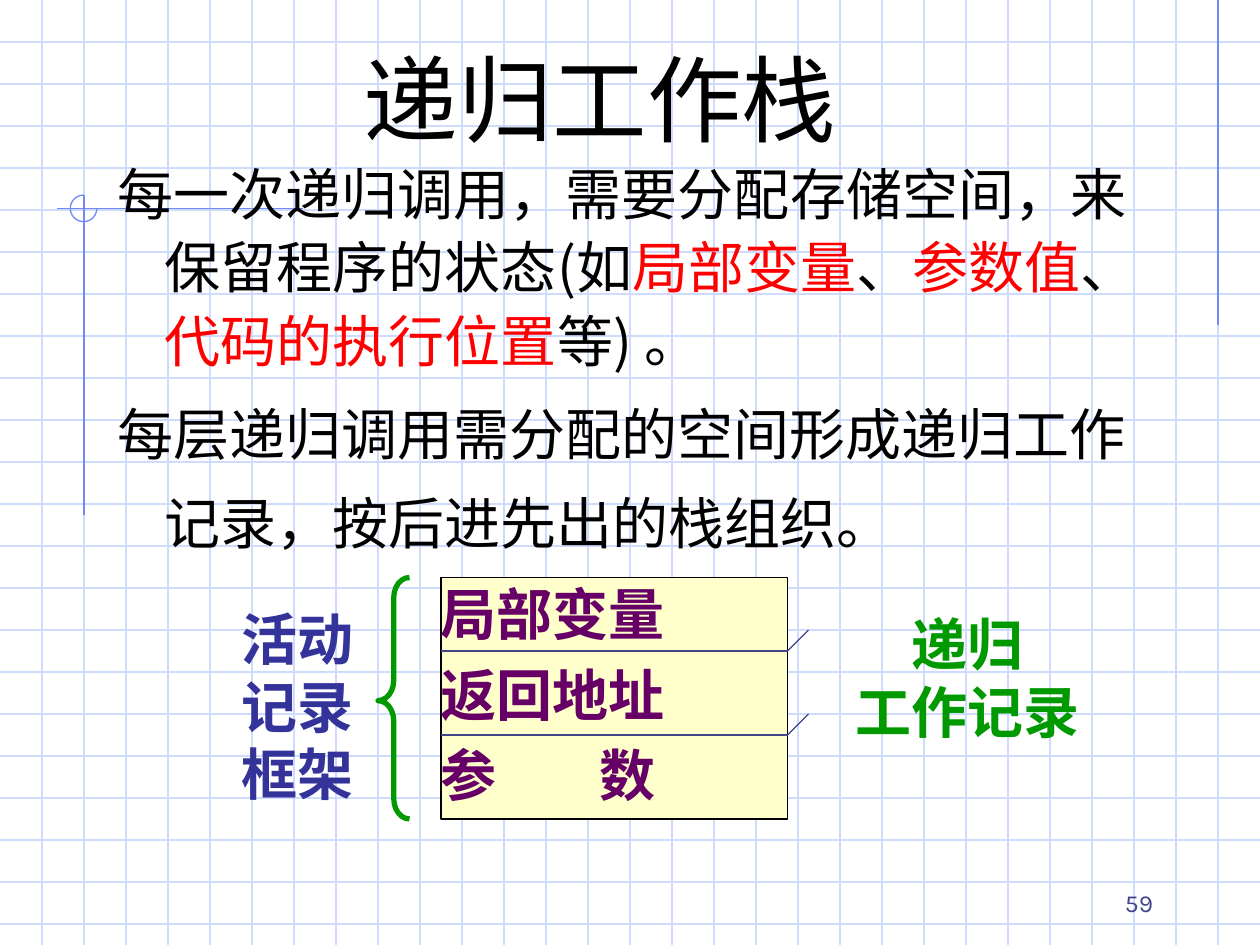
from lxml.etree import SubElement
from pptx import Presentation
from pptx.dml.color import RGBColor
from pptx.enum.lang import MSO_LANGUAGE_ID
from pptx.enum.shapes import MSO_CONNECTOR, MSO_SHAPE
from pptx.enum.text import MSO_ANCHOR, PP_ALIGN
from pptx.oxml.ns import qn
from pptx.util import Pt

COLORS = {
    "grid": "CFDBFD", "accent": "6F89F7", "ink": "000000", "red": "FF0000",
    "slate": "40458C", "cream": "FFFFCC", "purple": "660066",
    "green": "009900", "blue": "333399",
}
CJK = "Noto Sans CJK SC"
MONO = "Courier New"
SERIF = "Times New Roman"
WIDTH, HEIGHT, CELL = 720, 540, 24


def rgb(name):
    return RGBColor.from_string(COLORS[name])


def write(paragraph, text, *, font=CJK, size=32, color="ink", bold=False):
    """Append a run, using the CJK font for its East Asian characters."""
    run = paragraph.add_run()
    run.text = text
    run.font.name = font
    run.font.size = Pt(size)
    run.font.bold = bold
    run.font.color.rgb = rgb(color)
    run.font.language_id = MSO_LANGUAGE_ID.SIMPLIFIED_CHINESE
    SubElement(run.font._element, qn("a:ea")).set("typeface", CJK)


class SlideBuilder:
    def __init__(self, slide, line_width=0.75):
        self.shapes = slide.shapes
        self.line_width = line_width

    def line(self, x1, y1, x2, y2, color):
        line = self.shapes.add_connector(
            MSO_CONNECTOR.STRAIGHT, Pt(x1), Pt(y1), Pt(x2), Pt(y2))
        line.line.color.rgb = rgb(color)
        line.line.width = Pt(self.line_width)
        SubElement(line._element.spPr, qn("a:effectLst"))

    def shape(self, kind, box, line, *, fill=None, width=None, adjust=()):
        shape = self.shapes.add_shape(kind, *map(Pt, box))
        shape.shadow.inherit = False
        for index, value in enumerate(adjust):
            shape.adjustments[index] = value
        if fill:
            shape.fill.solid()
            shape.fill.fore_color.rgb = rgb(fill)
        else:
            shape.fill.background()
        shape.line.color.rgb = rgb(line)
        shape.line.width = Pt(width or self.line_width)

    def frame(self, box, anchor=MSO_ANCHOR.TOP):
        frame = self.shapes.add_textbox(*map(Pt, box)).text_frame
        frame.word_wrap = True
        frame.vertical_anchor = anchor
        return frame

    def paragraph(self, frame, runs, *, align=PP_ALIGN.LEFT, spacing=None,
                  before=0, hanging=0, tab=None, **style):
        """Fill the empty first paragraph or add one; runs are (text, overrides)."""
        first = frame.paragraphs[0]
        paragraph = frame.add_paragraph() if first.runs else first
        paragraph.alignment = align
        paragraph.space_before = Pt(before)
        if spacing:
            paragraph.line_spacing = Pt(spacing)
        properties = paragraph._p.get_or_add_pPr()
        if hanging:
            properties.set("marL", str(Pt(hanging)))
            properties.set("indent", str(-Pt(hanging)))
        if tab:
            stops = SubElement(properties, qn("a:tabLst"))
            SubElement(stops, qn("a:tab"), pos=str(Pt(tab)), algn="l")
        for text, overrides in runs:
            write(paragraph, text, **{**style, **overrides})


def draw_background(builder):
    for y in range(CELL, HEIGHT, CELL):
        builder.line(0, y, WIDTH, y, "grid")
    for x in range(CELL, WIDTH, CELL):
        builder.line(x, 0, x, HEIGHT, "grid")
    builder.line(696, 0, 696, 186, "accent")
    builder.line(173, 119.3, 32.4, 119.3, "accent")
    builder.line(48, 111.6, 48, 294.5, "accent")
    # Three quarters of a circle; angles are in units of 0.6 * 1/360 turn
    builder.shape(MSO_SHAPE.ARC, (40.2, 111.5, 15.2, 15.2), "accent",
                  adjust=(0, 162))


def draw_text(builder):
    number = builder.frame((516, 492, 150, 36), MSO_ANCHOR.BOTTOM)
    builder.paragraph(number, [("59", {})], align=PP_ALIGN.RIGHT,
                      font="Karla", size=14, color="slate")

    title = builder.frame((116, 45, 453.6, 43), MSO_ANCHOR.BOTTOM)
    title.margin_bottom = 0
    builder.paragraph(title, [("递归工作栈", {})], align=PP_ALIGN.CENTER,
                      font="Comic Neue", size=54)

    red, mono = {"color": "red"}, {"font": MONO}
    body = builder.frame((60, 84, 612, 432))
    builder.paragraph(body, [
        ("每一次递归调用，需要分配", {}), ("存储空间，来保留", mono),
        ("程序的状态(如", {}), ("局部变量", red), ("、", {}),
        ("参数值", red), ("、", {}), ("代码的执行位置", red),
        ("等) ", {}), ("。", mono),
    ], spacing=42, before=3, hanging=27)
    builder.paragraph(
        body, [("每层递归调用需分配的空间形成递归工作记录，按后进先出的栈组织。", {})],
        spacing=51, before=2, hanging=27)


def draw_record(builder):
    left, right, top, height = 252, 450, 330, 138
    builder.shape(MSO_SHAPE.RECTANGLE, (left, top, right - left, height),
                  "ink", fill="cream")
    for y in (372, 420):
        builder.line(left, y, right, y, "slate")
        builder.line(right, y, right + 12, y - 12, "slate")

    fields = builder.frame((244.8, 324, 206.6, 142))
    for field in ("局部变量", "返回地址", "参\t数"):
        builder.paragraph(fields, [(field, {})], spacing=42, before=4, tab=91,
                          font=SERIF, color="purple", bold=True)

    builder.shape(MSO_SHAPE.LEFT_BRACE, (216, top, 18, height), "green",
                  width=3, adjust=(0.64, 0.51))

    frame_label = builder.frame((131, 342, 85, 122))
    builder.paragraph(frame_label, [("活动记录框架", {})], spacing=38.5,
                      font=SERIF, color="blue", bold=True)

    record_label = builder.frame((481.7, 344, 142.6, 84))
    for line in ("递归", "工作记录"):
        builder.paragraph(record_label, [(line, {})], align=PP_ALIGN.CENTER,
                          spacing=39, font=SERIF, color="green", bold=True)


def main():
    presentation = Presentation()
    presentation.slide_width, presentation.slide_height = Pt(WIDTH), Pt(HEIGHT)
    slide = presentation.slides.add_slide(presentation.slide_layouts[6])
    builder = SlideBuilder(slide)
    draw_background(builder)
    draw_text(builder)
    draw_record(builder)
    presentation.save("out.pptx")


if __name__ == "__main__":
    main()
